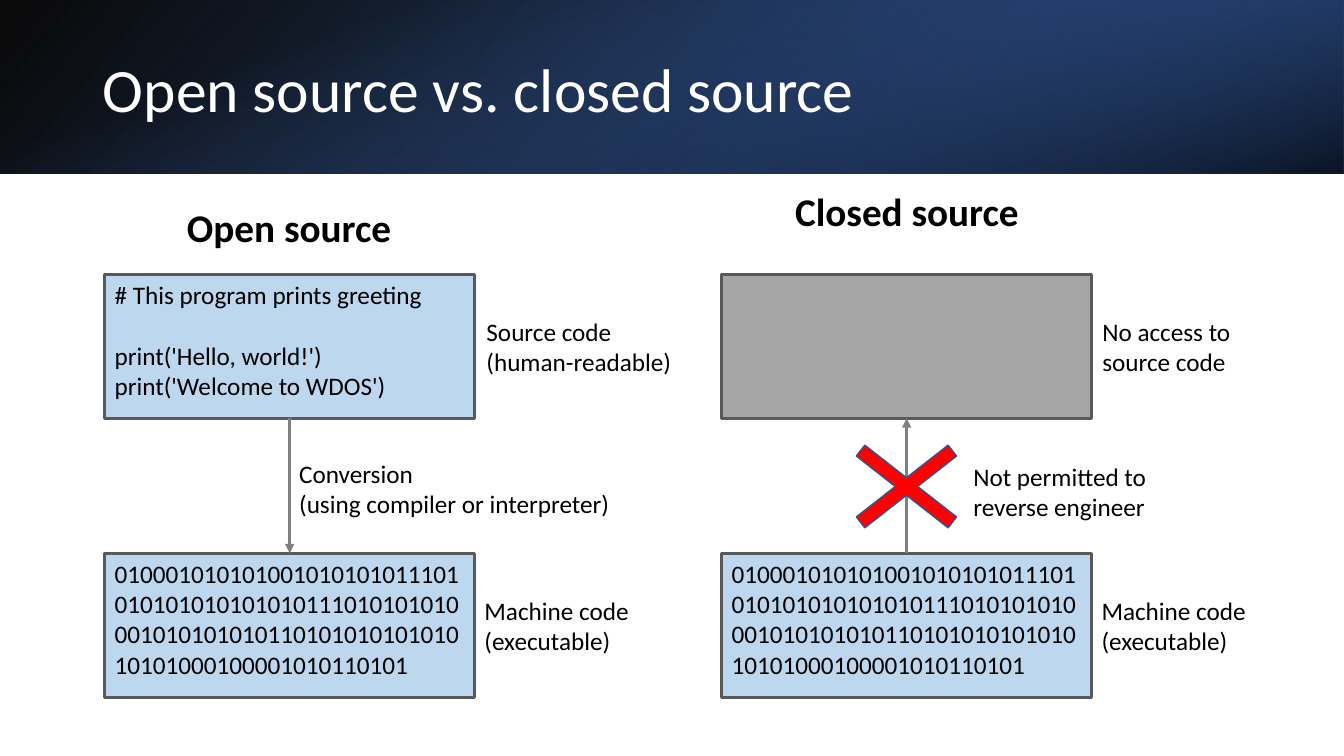
"""Build a slide that compares open and closed source."""
from dataclasses import dataclass
from typing import Any

from lxml.etree import SubElement
from pptx import Presentation
from pptx.dml.color import RGBColor
from pptx.enum.dml import MSO_LINE
from pptx.enum.shapes import MSO_CONNECTOR, MSO_SHAPE
from pptx.enum.text import MSO_ANCHOR, MSO_AUTO_SIZE, PP_ALIGN
from pptx.oxml.ns import qn
from pptx.util import Cm, Pt

HUES = {
    "ink": "000000", "paper": "FFFFFF", "code": "BDD7EE", "shut": "A6A6A6",
    "edge": "595959", "arrow": "808080", "cross": "FF0000", "rim": "325491",
    "navy": "2F5597", "blue": "4472C4",
}
WIDE, HIGH = 33.87, 19.05
LEFT, RIGHT = 2.64, 18.19
UPPER, LOWER = 6.91, 13.94
BOX_W, BOX_H = 9.32, 3.63
BAND_H = 4.37
BITS = ("01000101010100101010101110101010101010101011101010101000"
        "101010101011010101010101010101000100001010110101")
CODE = "# This program prints greeting\nprint('Hello, world!')\nprint('Welcome to WDOS')"
BODY = {"size": Pt(18), "name": "Calibri", "bold": False}
HEAD = {"size": Pt(28), "name": "Calibri", "bold": True}
TITLE = {"size": Pt(44), "name": "Calibri", "bold": False}
FRAME = {"word_wrap": True, "auto_size": MSO_AUTO_SIZE.NONE}


@dataclass
class Box:
    """A framed block of code."""
    x: float
    y: float
    hue: str
    text: str = ""


@dataclass
class Label:
    """A free text beside or above a block."""
    x: float
    y: float
    w: float
    text: str
    font: dict[str, Any]
    align: PP_ALIGN = PP_ALIGN.LEFT


@dataclass
class Band:
    """A gradient layer of the header; stops are (place, hue, alpha)."""
    x: float
    y: float
    w: float
    h: float
    turn: int
    angle: int
    stops: list[tuple[float, str, int]]


BOXES = [
    Box(LEFT, UPPER, "code", CODE),
    Box(LEFT, LOWER, "code", BITS),
    Box(RIGHT, UPPER, "shut"),
    Box(RIGHT, LOWER, "code", BITS),
]
LABELS = [
    Label(12.01, 7.9, 5.51, "Source code\n(human-readable)", BODY),
    Label(11.96, 14.94, 4.93, "Machine code\n(executable)", BODY),
    Label(7.29, 11.48, 9.32, "Conversion\n(using compiler or interpreter)", BODY),
    Label(3.96, 4.9, 6.65, "Open source", HEAD, PP_ALIGN.CENTER),
    Label(27.53, 7.9, 5.51, "No access to\nsource code", BODY),
    Label(27.51, 14.94, 4.93, "Machine code\n(executable)", BODY),
    Label(24.28, 11.56, 5.99, "Not permitted to reverse engineer", BODY),
    Label(19.53, 4.5, 6.65, "Closed source", HEAD, PP_ALIGN.CENTER),
]
BANDS = [
    Band(0, 0, WIDE, BAND_H, 0, 320, [(0, "ink", 96), (1, "navy", 100)]),
    Band((WIDE - BAND_H) / 2, (BAND_H - WIDE) / 2, BAND_H, WIDE, 90, 20,
         [(0.23, "blue", 0), (0.99, "ink", 74)]),
]


def tint(name: str) -> RGBColor:
    """Give the colour of a named hue."""
    return RGBColor.from_string(HUES[name])


def put(item: Any, vals: dict[str, Any]) -> None:
    """Set each value as an attribute of the item."""
    for key, val in vals.items():
        setattr(item, key, val)


def write(shape: Any, text: str, font: dict[str, Any], hue: str = "ink",
          align: PP_ALIGN = PP_ALIGN.LEFT, anchor: MSO_ANCHOR = MSO_ANCHOR.MIDDLE) -> None:
    """Fill a shape with formatted text."""
    frame = shape.text_frame
    frame.text = text
    put(frame, {**FRAME, "vertical_anchor": anchor})
    for para in frame.paragraphs:
        para.alignment = align
        for run in para.runs:
            put(run.font, font)
            run.font.color.rgb = tint(hue)


def shade(shape: Any, fill: str, line: str, width: float) -> None:
    """Give a shape a plain fill and outline."""
    shape.shadow.inherit = False
    shape.fill.solid()
    shape.fill.fore_color.rgb = tint(fill)
    shape.line.color.rgb = tint(line)
    shape.line.width = Pt(width)


def draw_box(slide: Any, box: Box) -> Any:
    """Draw a block of code."""
    shape = slide.shapes.add_shape(
        MSO_SHAPE.RECTANGLE, Cm(box.x), Cm(box.y), Cm(BOX_W), Cm(BOX_H))
    shade(shape, box.hue, "edge", 2.25)
    if box.text:
        write(shape, box.text, BODY, anchor=MSO_ANCHOR.TOP)
    return shape


def draw_label(slide: Any, label: Label) -> None:
    """Draw a free text."""
    shape = slide.shapes.add_textbox(Cm(label.x), Cm(label.y), Cm(label.w), Cm(1.65))
    write(shape, label.text, label.font, align=label.align)


def draw_arrow(slide: Any, start: Any, start_side: int, end: Any, end_side: int) -> None:
    """Join two blocks with an arrow."""
    line = slide.shapes.add_connector(MSO_CONNECTOR.STRAIGHT, 0, 0, 0, 0)
    line.begin_connect(start, start_side)
    line.end_connect(end, end_side)
    put(line.line, {"width": Pt(2.25), "dash_style": MSO_LINE.SOLID})
    line.line.color.rgb = tint("arrow")
    props = line._element.spPr
    SubElement(props.find(qn("a:ln")), qn("a:tailEnd"), type="triangle")
    SubElement(props, qn("a:effectLst"))


def draw_band(slide: Any, band: Band) -> None:
    """Draw a header layer."""
    shape = slide.shapes.add_shape(
        MSO_SHAPE.RECTANGLE, Cm(band.x), Cm(band.y), Cm(band.w), Cm(band.h))
    shape.rotation = band.turn
    shape.shadow.inherit = False
    shape.line.fill.background()
    shape.fill.gradient()
    shape.fill.gradient_angle = band.angle
    for stop, (place, hue, _) in zip(shape.fill.gradient_stops, band.stops):
        stop.position = place
        stop.color.rgb = tint(hue)
    marks = shape._element.spPr.iter(qn("a:srgbClr"))
    for mark, (_, _, alpha) in zip(list(marks), band.stops):
        SubElement(mark, qn("a:alpha"), val=str(alpha * 1000))


def draw_title(slide: Any) -> None:
    """Place the title on top of the header."""
    title = slide.shapes.title
    put(title, {"left": Cm(2.34), "top": Cm(1.02), "width": Cm(29.21), "height": Cm(3.68)})
    write(title, "Open source vs. closed source", TITLE, "paper")
    title.text_frame.margin_bottom = Cm(1.2)
    title.text_frame.paragraphs[0].line_spacing = 0.9
    slide.shapes._spTree.append(title._element)


def main() -> None:
    """Build and save the slide."""
    deck = Presentation()
    put(deck, {"slide_width": Cm(WIDE), "slide_height": Cm(HIGH)})
    slide = deck.slides.add_slide(deck.slide_layouts[5])
    source, binary, hidden, sealed = [draw_box(slide, box) for box in BOXES]
    source.text_frame.paragraphs[1].space_before = Pt(22)
    draw_arrow(slide, source, 2, binary, 0)
    draw_arrow(slide, sealed, 0, hidden, 2)
    for label in LABELS:
        draw_label(slide, label)
    cross = slide.shapes.add_shape(
        MSO_SHAPE.MATH_MULTIPLY, Cm(20.62), Cm(10.52), Cm(4.45), Cm(3.48))
    cross.adjustments[0] = 0.1
    shade(cross, "cross", "rim", 1)
    for band in BANDS:
        draw_band(slide, band)
    draw_title(slide)
    deck.save("out.pptx")


if __name__ == "__main__":
    main()
